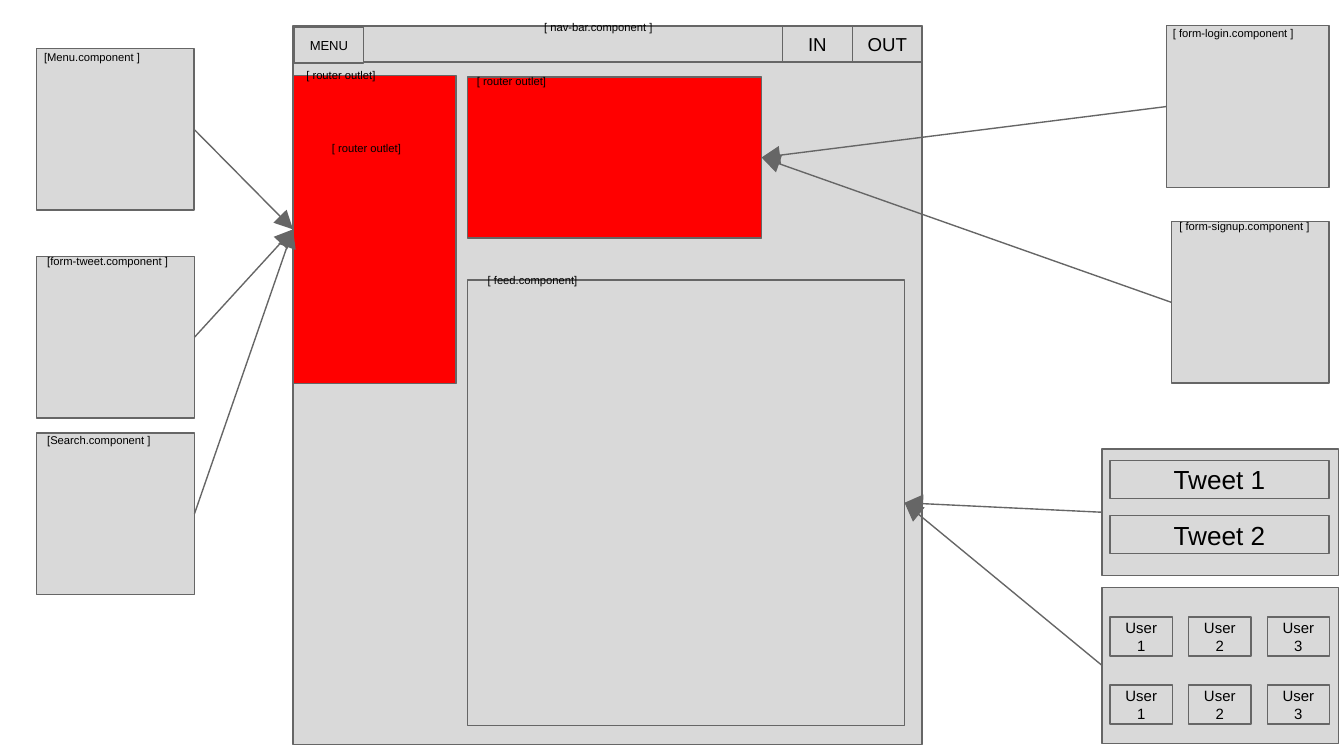
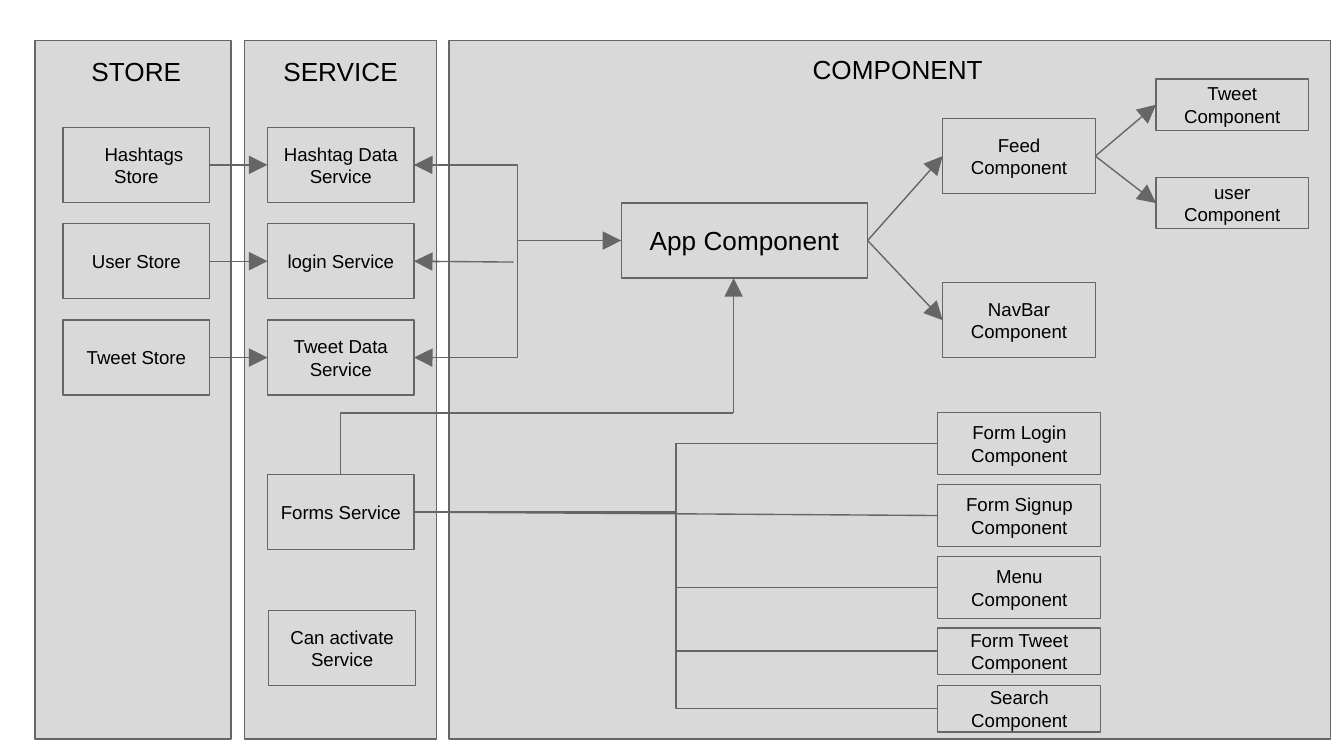
from lxml.etree import SubElement
from pptx import Presentation
from pptx.dml.color import RGBColor
from pptx.enum.shapes import MSO_CONNECTOR, MSO_SHAPE
from pptx.enum.text import MSO_ANCHOR, PP_ALIGN
from pptx.oxml.ns import qn
from pptx.util import Pt

PANEL_GREY = RGBColor(0xD9, 0xD9, 0xD9)
LINE_GREY = RGBColor(0x66, 0x66, 0x66)
OUTLET_RED = RGBColor(0xFF, 0x00, 0x00)
BLACK = RGBColor(0x00, 0x00, 0x00)
FONT = "Arial"
LINE_WIDTH = Pt(0.75)
INSET = Pt(7.2)

TOP, LEFT, BOTTOM, RIGHT = range(4)
SIDE_FRACTIONS = {TOP: (0.5, 0), LEFT: (0, 0.5), BOTTOM: (0.5, 1), RIGHT: (1, 0.5)}


def write(shape, text, size=10, align=PP_ALIGN.CENTER, anchor=MSO_ANCHOR.MIDDLE, indent=0):
    """Fill the shape with text, one paragraph per line; indent is for first lines."""
    frame = shape.text_frame
    frame.word_wrap = True
    frame.vertical_anchor = anchor
    frame.margin_left = frame.margin_right = INSET
    frame.margin_top = frame.margin_bottom = INSET
    frame.text = text
    for paragraph in frame.paragraphs:
        paragraph.alignment = align
        if indent:
            paragraph._p.get_or_add_pPr().set("indent", str(Pt(indent)))
        font = paragraph.runs[0].font
        font.name, font.size, font.color.rgb = FONT, Pt(size), BLACK


def add_box(slide, x, y, w, h, text="", fill=PANEL_GREY, **text_format):
    box = slide.shapes.add_shape(MSO_SHAPE.RECTANGLE, Pt(x), Pt(y), Pt(w), Pt(h))
    box.shadow.inherit = False
    box.fill.solid()
    box.fill.fore_color.rgb = fill
    box.line.color.rgb = LINE_GREY
    box.line.width = LINE_WIDTH
    if text:
        write(box, text, **text_format)
    return box


def add_label(slide, x, y, text, w=87.1, h=13.7, size=6, align=PP_ALIGN.LEFT):
    label = slide.shapes.add_textbox(Pt(x), Pt(y), Pt(w), Pt(h))
    write(label, text, size=size, align=align, anchor=MSO_ANCHOR.TOP)


def add_labelled_box(slide, x, y, w, h, text, dx, dy, fill=PANEL_GREY):
    """Box with a small caption set off by (dx, dy) from its corner."""
    box = add_box(slide, x, y, w, h, fill=fill)
    add_label(slide, x + dx, y + dy, text)
    return box


def locate(end):
    """Turn an (x, y) point or a (shape, side) pair into coordinates."""
    if isinstance(end[0], (int, float)):
        return Pt(end[0]), Pt(end[1])
    shape, side = end
    across, down = SIDE_FRACTIONS[side]
    return (shape.left + round(shape.width * across),
            shape.top + round(shape.height * down))


def link(slide, begin, end, kind=MSO_CONNECTOR.STRAIGHT, arrow=False):
    connector = slide.shapes.add_connector(kind, *locate(begin), *locate(end))
    for target, join in ((begin, connector.begin_connect), (end, connector.end_connect)):
        if not isinstance(target[0], (int, float)):
            join(*target)
    connector.line.color.rgb = LINE_GREY
    connector.line.width = LINE_WIDTH
    properties = connector._element.spPr
    if arrow:
        SubElement(properties.find(qn("a:ln")), qn("a:tailEnd"),
                   type="triangle", w="lg", len="lg")
    SubElement(properties, qn("a:effectLst"))
    return connector


def add_nav_bar(slide, x, y, w, h):
    button_width = 37.4
    add_box(slide, x, y, w, h)
    add_label(slide, x + 127.4, y - 6.5, "[ nav-bar.component ]")
    for place, text in enumerate(("OUT", "IN"), start=1):
        add_box(slide, x + w - place * button_width, y, button_width, h, text)
    add_box(slide, x + 0.5, y + 0.5, button_width, h, "MENU", size=7)


def add_app_page(slide, x, y, w, h):
    """Page mock-up; returns the side outlet, the main outlet and the feed."""
    add_box(slide, x, y, w, h)
    add_nav_bar(slide, x, y - 0.5, w, 19.4)
    feed = add_box(slide, x + 93.6, y + 135.6, 234, 238.7)
    add_label(slide, x + 97.2, y + 128.4, "[ feed.component]", w=126.7)
    side_outlet = add_labelled_box(slide, x, y + 26, 87.3, 165, "[ router outlet]",
                                   0, -7.2, OUTLET_RED)
    add_label(slide, x + 13.7, y + 57.6, "[ router outlet]")
    main_outlet = add_labelled_box(slide, x + 93.6, y + 26.8, 157.4, 86.4,
                                   "[ router outlet]", -2.2, -5, OUTLET_RED)
    return side_outlet, main_outlet, feed


def add_tweets(slide, x, y, w, h):
    panel = add_box(slide, x, y, w, h)
    for row in range(2):
        add_box(slide, x + 4.4, y + 6.2 + row * 29.5, w - 9.5, 20.4,
                f"Tweet {row + 1}", size=14)
    return panel


def add_users(slide, x, y, w, h):
    panel = add_box(slide, x, y, w, h)
    for row in range(2):
        for column in range(3):
            add_box(slide, x + 4.4 + column * 42.1, y + 16 + row * 36.4, 33.4, 20.9,
                    f"User {column + 1}", size=8)
    return panel


def build_page_slide(slide):
    side_outlet, main_outlet, feed = add_app_page(slide, 157, 14.4, 337, 384.4)
    card_height = 86.6
    for x, y, text, dx, dy in (
        (19.4, 26, "[Menu.component ]", -2.9, -2.9),
        (19.6, 137.4, "[form-tweet.component ]", -1.4, -5),
        (19.6, 232, "[Search.component ]", -1.4, -3.6),
    ):
        card = add_labelled_box(slide, x, y, 84.6, card_height, text, dx, dy)
        link(slide, (card, RIGHT), (side_outlet, LEFT), arrow=True)
    for x, y, w, text, dx, dy in (
        (624.8, 13.8, 87.2, "[ form-login.component ]", -3.6, -3.6),
        (627.6, 118.7, 84.4, "[ form-signup.component ]", -2.9, -5),
    ):
        card = add_labelled_box(slide, x, y, w, card_height, text, dx, dy)
        link(slide, (card, LEFT), (main_outlet, RIGHT), arrow=True)
    for panel in (add_tweets(slide, 590.3, 240.5, 126.7, 67.9),
                  add_users(slide, 590.3, 314.6, 126.7, 83.7)):
        link(slide, (panel, LEFT), (feed, RIGHT), arrow=True)


def add_column(slide, x, y, w, h, title, title_dx, title_dy, title_width):
    add_box(slide, x, y, w, h)
    add_label(slide, x + title_dx, y + title_dy, title, w=title_width, h=36.7,
              size=14, align=PP_ALIGN.CENTER)


def add_stack(slide, x, y, w, h, pitch, texts):
    """Boxes of one size, one below another."""
    return [add_box(slide, x, y + row * pitch, w, h, text)
            for row, text in enumerate(texts)]


def add_stores_and_services(slide, x, y):
    """Three store-to-service rows, then two more services."""
    w, h, pitch, service_x = 78.5, 40.3, 51.6, x + 109.5
    stores = [add_box(slide, x, y, w, h, "Hashtags Store", indent=8)]
    stores += add_stack(slide, x, y + pitch, w, h, pitch, ("User Store", "Tweet Store"))
    services = add_stack(slide, service_x, y, w, h, pitch,
                         ("Hashtag Data Service", "login Service", "Tweet Data Service"))
    for store, service in zip(stores, services):
        link(slide, (store, RIGHT), (service, LEFT), arrow=True)
    forms_service = add_box(slide, service_x, y + 186, w, h, "Forms Service")
    add_box(slide, service_x + 0.7, y + 258.8, w, h, "Can activate Service")
    return services, forms_service


def add_component_tree(slide, x, y):
    """App component with its children; returns the app box."""
    app = add_box(slide, x, y, 132, 40.3, "App Component", size=14)
    feed, nav_bar = add_stack(slide, x + 172.2, y - 45.2, 81.8, 40.3, 87.9,
                              ("Feed Component", "NavBar Component"))
    leaves = add_stack(slide, x + 286.5, y - 66.4, 81.6, 27.6, 52.7,
                       ("Tweet Component", "user Component"))
    for child in (feed, nav_bar):
        link(slide, (app, RIGHT), (child, LEFT), arrow=True)
    for leaf in leaves:
        link(slide, (feed, RIGHT), (leaf, LEFT), arrow=True)
    return app


def add_form_components(slide, x, y, w):
    return (add_stack(slide, x, y, w, 33.2, 38.6,
                      ("Form Login Component", "Form Signup\nComponent", "Menu\nComponent"))
            + add_stack(slide, x, y + 115.4, w, 25, 30.8,
                        ("Form Tweet\nComponent", "Search\nComponent")))


def link_services_to_app(slide, services, app):
    hashtag_service, login_service, tweet_service = services
    for service in (hashtag_service, tweet_service):
        link(slide, (service, RIGHT), (app, LEFT), MSO_CONNECTOR.ELBOW)
    link(slide, (login_service, RIGHT), (275, 140.4))
    for service, start in zip(services, ((239, 88.4), (235.4, 140.2), (234, 191.6))):
        link(slide, start, (service, RIGHT), arrow=True)
    link(slide, (322.6, 128.9), (app, LEFT), arrow=True)


def link_forms(slide, forms_service, form_components, app):
    for component in form_components:
        straight = component is form_components[1]
        kind = MSO_CONNECTOR.STRAIGHT if straight else MSO_CONNECTOR.ELBOW
        link(slide, (forms_service, RIGHT), (component, LEFT), kind)
    turn = (393, 221.2)
    corner = link(slide, turn, (182.5, 254.2), MSO_CONNECTOR.ELBOW)
    corner._element.spPr.find(qn("a:prstGeom")).set("prst", "bentConnector2")
    link(slide, turn, (393, 149), arrow=True)
    return app


def build_architecture_slide(slide):
    for x, w, title, dx, dy, title_width in (
        (18.7, 105.1, "STORE", 7.2, 1, 94.3),
        (131, 103, "SERVICE", -5, 1, 113),
        (240.5, 472.3, "COMPONENT", 86, 0, 308.9),
    ):
        add_column(slide, x, 21.6, w, 374.4, title, dx, dy, title_width)
    services, forms_service = add_stores_and_services(slide, 33.8, 68.2)
    app = add_component_tree(slide, 332.8, 108.7)
    form_components = add_form_components(slide, 502.4, 221, 87.3)
    link_services_to_app(slide, services, app)
    link_forms(slide, forms_service, form_components, app)


def main():
    deck = Presentation()
    deck.slide_width, deck.slide_height = Pt(720), Pt(405)
    blank = deck.slide_layouts[6]
    for build in (build_page_slide, build_architecture_slide):
        build(deck.slides.add_slide(blank))
    deck.save("out.pptx")


if __name__ == "__main__":
    main()
